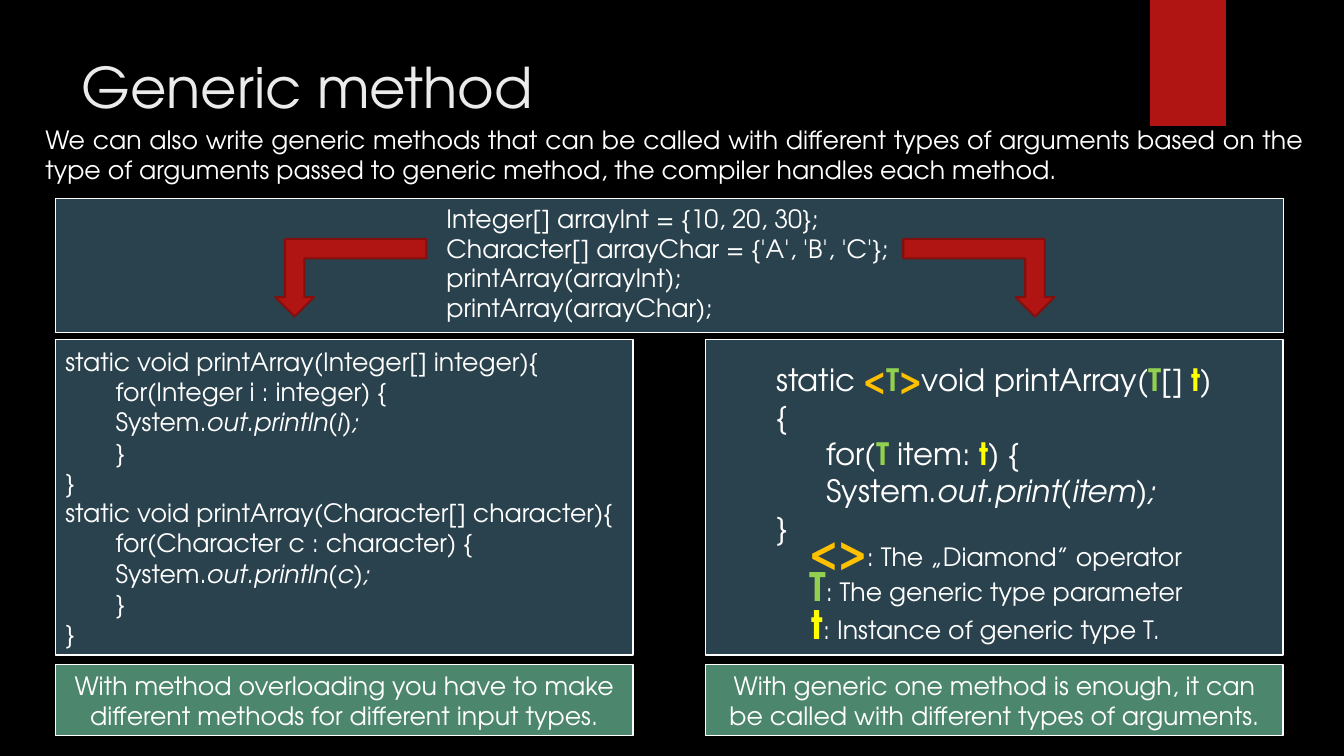
from dataclasses import dataclass

from pptx import Presentation
from pptx.dml.color import RGBColor
from pptx.enum.shapes import MSO_SHAPE as Shape
from pptx.enum.text import MSO_ANCHOR as Anchor, MSO_AUTO_SIZE as AutoSize, PP_ALIGN as Align
from pptx.util import Inches, Pt


@dataclass(frozen=True)
class Theme:
    font: str = "TeX Gyre Adventor"
    background: str = "000000"
    title: str = "EBEBEB"
    text: str = "FFFFFF"
    panel: str = "2A424D"
    verdict: str = "4B866D"
    accent: str = "B01513"
    accent_edge: str = "82100E"
    diamond: str = "FFC000"
    type_name: str = "92D050"
    instance: str = "FFFF00"
    title_size: int = 40
    symbol_size: int = 28
    generic_size: int = 22
    text_size: int = 18


THEME = Theme()
PLAIN = {"color": THEME.text, "bold": False, "italic": False}
ITALIC = PLAIN | {"italic": True}
DIAMOND = PLAIN | {"color": THEME.diamond, "bold": True}
TYPE = DIAMOND | {"color": THEME.type_name}
INSTANCE = DIAMOND | {"color": THEME.instance}


def set_all(target, values):
    for name, value in values.items():
        setattr(target, name, value)


class SlideBuilder:
    """Places elements on one slide; every length is a percentage of its width or height."""

    def __init__(self, deck, theme):
        self.deck, self.theme = deck, theme
        self.page = deck.slides.add_slide(deck.slide_layouts.get_by_name("Title Only"))
        fill = self.page.background.fill
        fill.solid()
        fill.fore_color.rgb = RGBColor.from_string(theme.background)

    def frame(self, left, top, width, height):
        across, down = self.deck.slide_width / 100, self.deck.slide_height / 100
        return [round(n) for n in (left * across, top * down, width * across, height * down)]

    def fill_text(self, box, paragraphs, size, align=Align.LEFT, anchor=Anchor.TOP):
        """Fill a box; a paragraph is a string or a list of (text, style) spans."""
        text_frame = box.text_frame
        set_all(text_frame, {"word_wrap": True, "auto_size": AutoSize.NONE,
                             "vertical_anchor": anchor})
        for index, spans in enumerate(paragraphs):
            para = text_frame.add_paragraph() if index else text_frame.paragraphs[0]
            para.alignment = align
            for text, style in [(spans, PLAIN)] if isinstance(spans, str) else spans:
                span = para.add_run()
                span.text = text
                set_all(span.font, {"name": self.theme.font, "size": Pt(size),
                                    "bold": style["bold"], "italic": style["italic"]})
                span.font.color.rgb = RGBColor.from_string(style["color"])
                if "size" in style:
                    span.font.size = Pt(style["size"])

    def title(self, text, place):
        box = self.page.shapes.title
        set_all(box, dict(zip(("left", "top", "width", "height"), self.frame(*place))))
        style = PLAIN | {"color": self.theme.title}
        self.fill_text(box, [[(text, style)]], self.theme.title_size, Align.JUSTIFY)

    def text(self, paragraphs, place, size=THEME.text_size, align=Align.LEFT):
        box = self.page.shapes.add_textbox(*self.frame(*place))
        self.fill_text(box, paragraphs, size, align)

    def shape(self, kind, place, fill, edge=None, edge_width=1):
        box = self.page.shapes.add_shape(kind, *self.frame(*place))
        box.shadow.inherit = False
        box.fill.solid()
        box.fill.fore_color.rgb = RGBColor.from_string(fill)
        if edge:
            box.line.color.rgb = RGBColor.from_string(edge)
            box.line.width = Pt(edge_width)
        else:
            box.line.fill.background()
        return box

    def panel(self, place, fill, paragraphs=(), align=Align.LEFT):
        box = self.shape(Shape.RECTANGLE, place, fill, self.theme.text)
        self.fill_text(box, paragraphs, self.theme.text_size, align, Anchor.MIDDLE)

    def arrow(self, place, mirrored):
        box = self.shape(Shape.BENT_UP_ARROW, place, self.theme.accent,
                         self.theme.accent_edge, 1.5)
        box.rotation = 180
        if mirrored:
            box.element.spPr.xfrm.set("flipH", "1")


def overload(type_name, parameter, item):
    """Code lines of one overloaded printArray method."""
    return [f"static void printArray({type_name}[] {parameter}){{",
            f"\tfor({type_name} {item} : {parameter}) {{",
            [("\tSystem.", PLAIN), (f"out.println({item});", ITALIC)],
            "\t}",
            "}"]


GENERIC_CODE = [
    [("static ", PLAIN), ("<", DIAMOND), ("T", TYPE), (">", DIAMOND),
     ("void printArray(", PLAIN), ("T", TYPE), ("[] ", PLAIN), ("t", INSTANCE), ("){", PLAIN)],
    [("\tfor(", PLAIN), ("T ", TYPE), ("item: ", PLAIN), ("t", INSTANCE), (") {", PLAIN)],
    [("\tSystem.", PLAIN), ("out.print(item);", ITALIC)],
    "}",
]
LEGEND = [
    ("<>", DIAMOND, ": The „Diamond” operator", 59.48, 69.07),
    ("T", TYPE, ": The generic type parameter", 59.48, 73.73),
    ("t", INSTANCE, ": Instance of generic type T.", 59.63, 78.8),
]
LEFT, RIGHT, PANEL_WIDTH = 4.12, 52.5, 42.98
CALLS_TOP, METHODS_TOP, VERDICT_TOP = 26.27, 44.93, 87.87
METHODS_HEIGHT, TWO_LINES = 41.73, 9.47
CODE_LEFT, CODE_WIDTH = 32.48, 34.73


def main():
    deck = Presentation()
    set_all(deck, {"slide_width": Inches(13.33), "slide_height": Inches(7.5)})
    slide = SlideBuilder(deck, THEME)

    slide.shape(Shape.RECTANGLE, (85.58, 0, 5.63, 16.67), THEME.accent)
    slide.title("Generic method", (5.33, 6.27, 80.7, 11.73))
    slide.text(["We can also write generic methods that can be called with different types of "
                "arguments based on the type of arguments passed to generic method, "
                "the compiler handles each method."],
               (2.63, 15.73, 95.1, TWO_LINES), align=Align.JUSTIFY)

    slide.panel((LEFT, CALLS_TOP, RIGHT + PANEL_WIDTH - LEFT, 17.73), THEME.panel)
    slide.text(["Integer[] arrayInt = {10, 20, 30};", "Character[] arrayChar = {'A', 'B', 'C'};"],
               (CODE_LEFT, CALLS_TOP, CODE_WIDTH, TWO_LINES))
    slide.text(["printArray(arrayInt);", "printArray(arrayChar);"],
               (CODE_LEFT, 34, CODE_WIDTH, TWO_LINES))
    for left, mirrored in ((20.48, False), (67.2, True)):
        slide.arrow((left, 31.6, 11.25, 10.27), mirrored)

    overloads = overload("Integer", "integer", "i") + overload("Character", "character", "c")
    columns = [
        (LEFT, overloads, "With method overloading you have to make different methods "
                          "for different input types."),
        (RIGHT, [], "With generic one method is enough, it can be called with "
                    "different types of arguments."),
    ]
    for left, code, verdict in columns:
        slide.panel((left, METHODS_TOP, PANEL_WIDTH, METHODS_HEIGHT), THEME.panel, code)
        slide.panel((left, VERDICT_TOP, PANEL_WIDTH, TWO_LINES), THEME.verdict,
                    [verdict], Align.CENTER)

    slide.text(GENERIC_CODE, (57, 47.07, CODE_WIDTH, 21.07), THEME.generic_size)
    for symbol, style, meaning, left, top in LEGEND:
        large = style | {"size": THEME.symbol_size}
        slide.text([[(symbol, large), (meaning, PLAIN)]], (left, top, 33.23, 7.6))

    deck.save("out.pptx")


if __name__ == "__main__":
    main()
